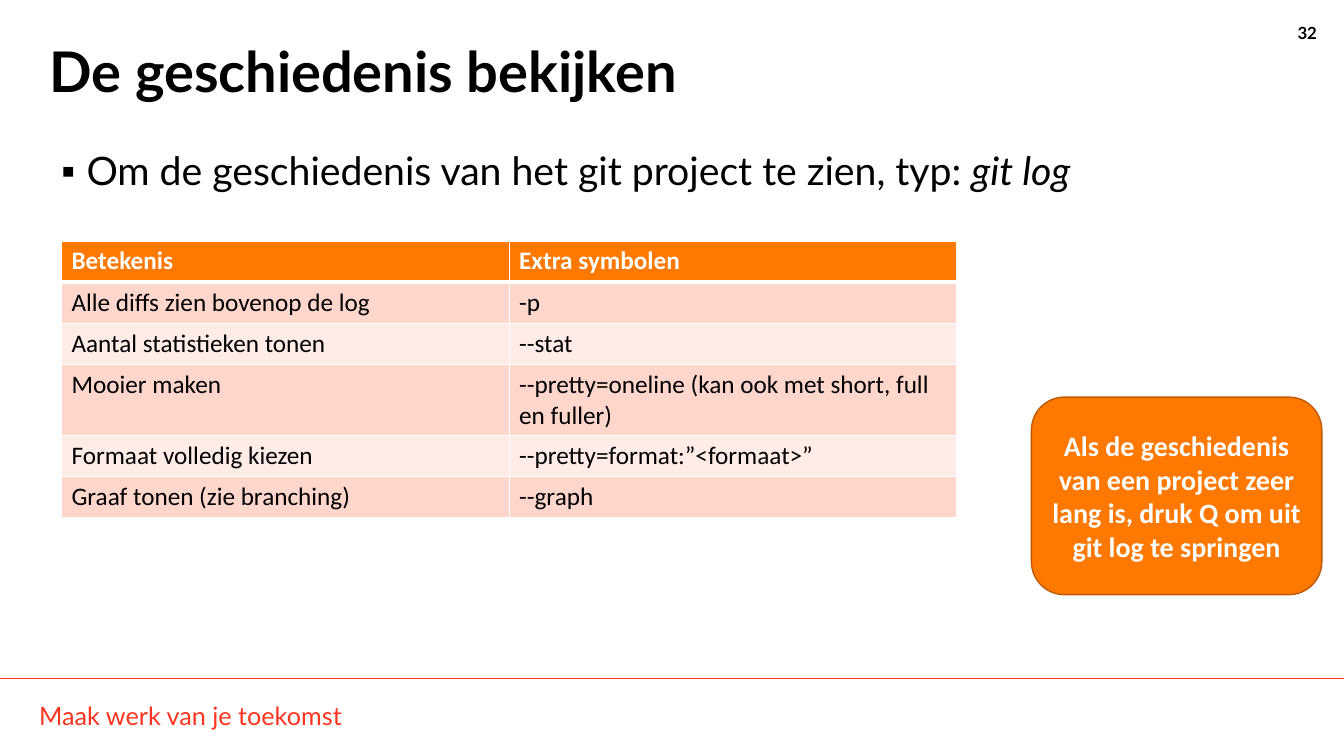
from lxml import etree
from pptx import Presentation
from pptx.dml.color import RGBColor
from pptx.enum.shapes import MSO_CONNECTOR, MSO_SHAPE
from pptx.enum.text import MSO_ANCHOR, MSO_AUTO_SIZE, PP_ALIGN
from pptx.oxml.ns import qn
from pptx.util import Pt

PX = 9144  # 100 px to the inch
SLIDE_W, SLIDE_H = 1333, 750
COLORS = {
    "black": "000000",
    "white": "FFFFFF",
    "red": "FF3521",
    "orange": "FF7800",
    "dark_orange": "BD5900",
    "band_dark": "FFD6CC",
    "band_light": "FFECE7",
}
OPTIONS = [
    ("Betekenis", "Extra symbolen"),
    ("Alle diffs zien bovenop de log", "-p"),
    ("Aantal statistieken tonen", "--stat"),
    ("Mooier maken", "--pretty=oneline (kan ook met short, full en fuller)"),
    ("Formaat volledig kiezen", "--pretty=format:”<formaat>”"),
    ("Graaf tonen (zie branching)", "--graph"),
]


def rgb(name):
    return RGBColor.from_string(COLORS[name])


def emu(box):
    return [n * PX for n in box]


def add_run(p, text, size, color="black", font="Lato", bold=False, italic=False):
    r = p.add_run()
    r.text = text
    r.font.name, r.font.size = font, Pt(size)
    r.font.bold, r.font.italic = bold, italic
    r.font.color.rgb = rgb(color)


def add_text_box(s, box):
    """Add a wrapping text box and return its first paragraph."""
    tf = s.shapes.add_textbox(*emu(box)).text_frame
    tf.word_wrap = True
    return tf.paragraphs[0]


def add_title(s, box, text):
    sp = s.shapes.title
    sp.left, sp.top, sp.width, sp.height = emu(box)
    tf = sp.text_frame
    tf.vertical_anchor = MSO_ANCHOR.TOP
    tf.auto_size = MSO_AUTO_SIZE.NONE
    p = tf.paragraphs[0]
    p.alignment, p.line_spacing = PP_ALIGN.LEFT, 0.9
    add_run(p, text, 40, bold=True)


def add_command_bullet(s, box, text, command, indent=25):
    p = add_text_box(s, box)
    p.line_spacing = 0.9
    add_run(p, text, 28)
    add_run(p, command, 28, italic=True)
    pPr = p._p.get_or_add_pPr()
    pPr.set("marL", str(indent * PX))
    pPr.set("indent", str(-indent * PX))
    etree.SubElement(pPr, qn("a:buFont"), typeface="Arial")
    etree.SubElement(pPr, qn("a:buChar"), char="▪")


def set_cell_borders(cell, **widths):
    """Draw white borders; widths are points by side, in the order L, R, T, B."""
    tcPr = cell._tc.get_or_add_tcPr()
    for side, width in widths.items():
        ln = etree.SubElement(tcPr, qn(f"a:ln{side}"), w=str(Pt(width)))
        fill = etree.SubElement(ln, qn("a:solidFill"))
        etree.SubElement(fill, qn("a:srgbClr"), val=COLORS["white"])


def add_options_table(s, box, rows):
    table = s.shapes.add_table(len(rows), len(rows[0]), *emu(box)).table
    for i, row in enumerate(rows):
        header = i == 0
        band = "orange" if header else ("band_light", "band_dark")[i % 2]
        for j, text in enumerate(row):
            cell = table.cell(i, j)
            set_cell_borders(cell, L=1, R=1, T=3 if i == 1 else 1, B=3 if header else 1)
            cell.fill.solid()
            cell.fill.fore_color.rgb = rgb(band)
            add_run(cell.text_frame.paragraphs[0], text, 18,
                    "white" if header else "black", "Calibri", bold=header)


def add_tip(s, box, text):
    sp = s.shapes.add_shape(MSO_SHAPE.ROUNDED_RECTANGLE, *emu(box))
    sp.shadow.inherit = False
    sp.fill.solid()
    sp.fill.fore_color.rgb = rgb("orange")
    sp.line.color.rgb, sp.line.width = rgb("dark_orange"), Pt(1)
    tf = sp.text_frame
    tf.word_wrap, tf.vertical_anchor = True, MSO_ANCHOR.MIDDLE
    p = tf.paragraphs[0]
    p.alignment = PP_ALIGN.CENTER
    add_run(p, text, 20, "white", "Calibri", bold=True)


def add_footer(s, box, text):
    x, y, w, h = box
    line = s.shapes.add_connector(MSO_CONNECTOR.STRAIGHT, *emu((x, y, x + w, y)))
    line.line.color.rgb, line.line.width = rgb("red"), Pt(0.5)
    etree.SubElement(line._element.spPr, qn("a:effectLst"))
    p = add_text_box(s, (x + 29, y + 17, 850, 40))
    add_run(p, text, 18, "red")


def add_page_number(s, box, number):
    p = add_text_box(s, box)
    p.alignment = PP_ALIGN.RIGHT
    add_run(p, number, 12, bold=True)


def add_history_slide(prs):
    s = prs.slides.add_slide(prs.slide_layouts[5])
    add_footer(s, (0, 673, SLIDE_W, 77), "Maak werk van je toekomst")
    add_page_number(s, (1267, 18, 49, 30), "32")
    add_title(s, (39, 39, 1228, 145), "De geschiedenis bekijken")
    add_command_bullet(s, (51, 146, 1231, 536),
                       "Om de geschiedenis van het git project te zien, typ: ", "git log")
    add_options_table(s, (61, 239, 888, 246), OPTIONS)
    add_tip(s, (1023, 394, 288, 196),
            "Als de geschiedenis van een project zeer lang is, druk Q om uit git log te springen")


def main():
    prs = Presentation()
    prs.slide_width, prs.slide_height = emu((SLIDE_W, SLIDE_H))
    add_history_slide(prs)
    prs.save("out.pptx")


if __name__ == "__main__":
    main()
